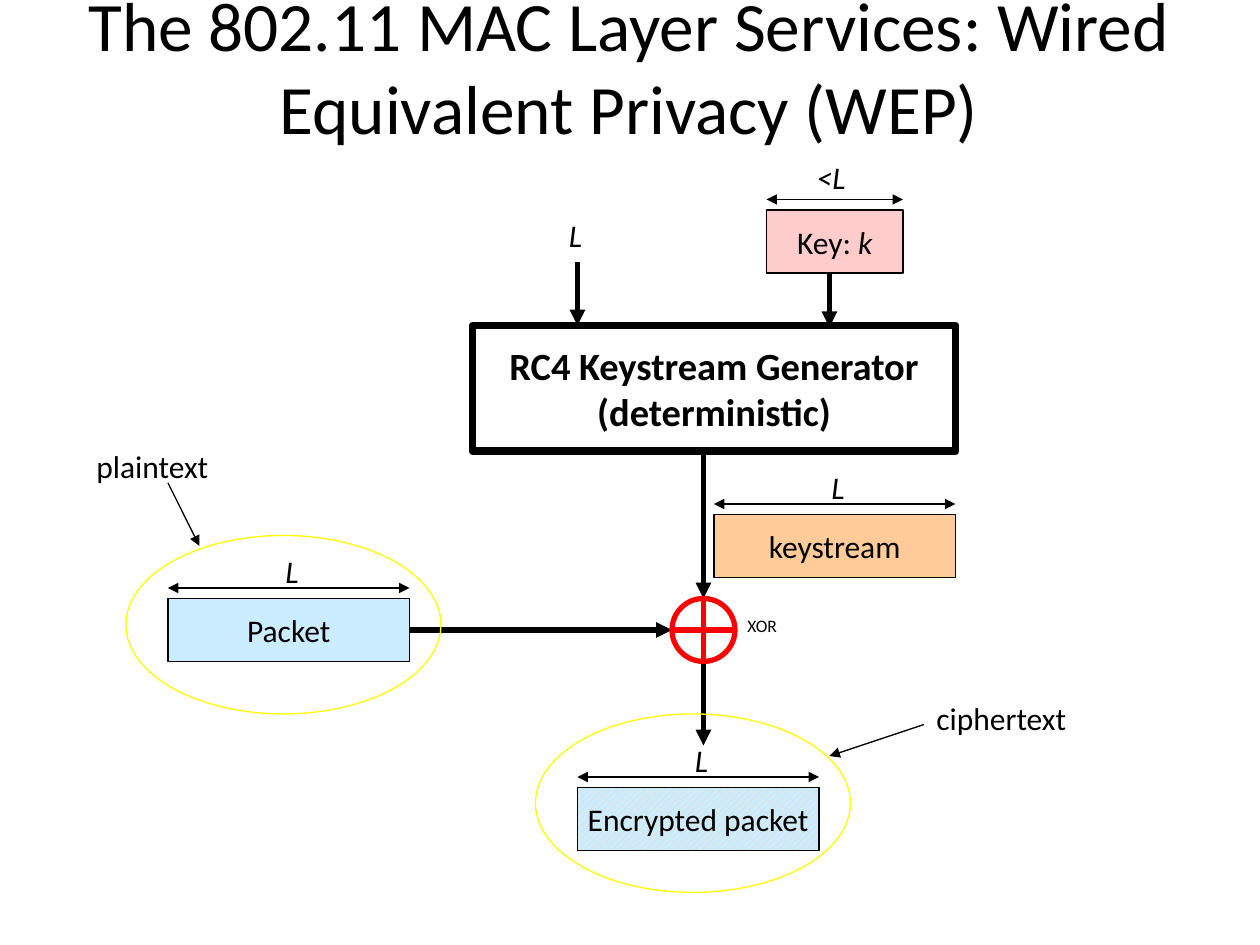
from dataclasses import dataclass
from typing import Optional

from lxml.etree import SubElement
from pptx import Presentation
from pptx.dml.color import RGBColor
from pptx.enum.dml import MSO_PATTERN
from pptx.enum.shapes import MSO_CONNECTOR, MSO_SHAPE
from pptx.enum.text import MSO_ANCHOR, MSO_AUTO_SIZE, PP_ALIGN
from pptx.oxml.ns import qn
from pptx.util import Pt

BLACK, RED, YELLOW = "000000", "FF0000", "FFFF00"
PINK, ORANGE, BLUE = "FFCCCC", "FFCC99", "CCECFF"
BODY = {"name": "Calibri", "size": Pt(18), "bold": False, "italic": False}
ITALIC = {**BODY, "italic": True}
HEADING = {**BODY, "size": Pt(22), "bold": True}
SMALL = {**BODY, "size": Pt(10)}
TITLE = {**BODY, "size": Pt(39.6)}
BAR_H = 36


@dataclass
class Run:
    text: str
    fmt: dict


@dataclass
class Bar:
    runs: list[Run]
    x: float
    y: float
    w: float
    fill: str
    size: str = "L"
    size_dx: float = 60
    size_dy: float = -30
    size_w: float = 30
    hatch: Optional[str] = None


@dataclass
class Arrow:
    x1: float
    y1: float
    x2: float
    y2: float
    width: float = 3
    both: bool = False


@dataclass
class Callout:
    x: float
    y: float
    text: str
    text_x: float
    text_y: float
    arrow: Arrow


def rgb(value: str) -> RGBColor:
    return RGBColor.from_string(value)


def write(p, runs: list[Run]) -> None:
    for run in runs:
        r = p.add_run()
        r.text = run.text
        for name, value in run.fmt.items():
            setattr(r.font, name, value)
        r.font.color.rgb = rgb(BLACK)


def add_shape(s, kind, x: float, y: float, w: float, h: float, line: str, width: float):
    sp = s.shapes.add_shape(kind, Pt(x), Pt(y), Pt(w), Pt(h))
    sp.shadow.inherit = False
    sp.fill.background()
    sp.line.color.rgb = rgb(line)
    sp.line.width = Pt(width)
    return sp


def add_box(s, x: float, y: float, w: float, h: float, width: float, lines: list[list[Run]]):
    sp = add_shape(s, MSO_SHAPE.RECTANGLE, x, y, w, h, BLACK, width)
    tf = sp.text_frame
    tf.word_wrap = False
    tf.vertical_anchor = MSO_ANCHOR.MIDDLE
    for i, runs in enumerate(lines):
        p = tf.add_paragraph() if i else tf.paragraphs[0]
        p.alignment = PP_ALIGN.CENTER
        write(p, runs)
    return sp


def add_label(s, x: float, y: float, w: float, h: float, run: Run) -> None:
    tf = s.shapes.add_textbox(Pt(x), Pt(y), Pt(w), Pt(h)).text_frame
    tf.word_wrap = True
    tf.auto_size = MSO_AUTO_SIZE.SHAPE_TO_FIT_TEXT
    write(tf.paragraphs[0], [run])


def add_arrow(s, a: Arrow) -> None:
    cx = s.shapes.add_connector(MSO_CONNECTOR.STRAIGHT, Pt(a.x1), Pt(a.y1), Pt(a.x2), Pt(a.y2))
    cx.line.color.rgb = rgb(BLACK)
    cx.line.width = Pt(a.width)
    ln = cx.line._get_or_add_ln()
    for end in ("a:headEnd", "a:tailEnd") if a.both else ("a:tailEnd",):
        SubElement(ln, qn(end), type="triangle")
    SubElement(cx._element.spPr, qn("a:effectLst"))


def add_bar(s, b: Bar) -> None:
    sp = add_box(s, b.x, b.y, b.w, BAR_H, 0.75, [b.runs])
    if b.hatch:
        sp.fill.patterned()
        sp.fill.pattern = MSO_PATTERN.WIDE_UPWARD_DIAGONAL
        sp.fill.fore_color.rgb = rgb(b.hatch)
        sp.fill.back_color.rgb = rgb(b.fill)
    else:
        sp.fill.solid()
        sp.fill.fore_color.rgb = rgb(b.fill)
    add_arrow(s, Arrow(b.x, b.y - 6, b.x + b.w, b.y - 6, 0.75, True))
    add_label(s, b.x + b.size_dx, b.y + b.size_dy, b.size_w, 28.8, Run(b.size, ITALIC))


def add_callout(s, c: Callout) -> None:
    add_shape(s, MSO_SHAPE.OVAL, c.x, c.y, 180, 102, YELLOW, 0.75)
    add_arrow(s, c.arrow)
    add_label(s, c.text_x, c.text_y, 114, 28.8, Run(c.text, BODY))


BARS = [
    Bar([Run("Packet", BODY)], 96, 342, 138, BLUE),
    Bar([Run("Key: ", BODY), Run("k", ITALIC)], 438, 120, 78, PINK, "<L", 21.6, -33, 96),
    Bar([Run("keystream", BODY)], 408, 294, 138, ORANGE),
    Bar([Run("Encrypted packet", BODY)], 330, 450, 138, BLUE, hatch=ORANGE),
]
FLOWS = [
    Arrow(330, 150, 330, 186),
    Arrow(474, 156, 474, 187),
    Arrow(402, 258, 402, 342),
    Arrow(234, 360, 384, 360),
    Arrow(402, 378, 402, 426),
]
CALLOUTS = [
    Callout(72, 306, "plaintext", 48, 252, Arrow(96, 276, 114, 312, 0.75)),
    Callout(306, 408, "ciphertext", 528, 396, Arrow(528, 414, 474, 432, 0.75)),
]


def main() -> None:
    prs = Presentation()
    prs.slide_width, prs.slide_height = Pt(720), Pt(540)
    s = prs.slides.add_slide(prs.slide_layouts[5])

    title = s.shapes.title
    geometry = {"left": Pt(-0.5), "top": Pt(13.5), "width": Pt(720), "height": Pt(48)}
    for name, value in geometry.items():
        setattr(title, name, value)
    tf = title.text_frame
    tf.word_wrap = True
    tf.auto_size = MSO_AUTO_SIZE.NONE
    tf.vertical_anchor = MSO_ANCHOR.MIDDLE
    p = tf.paragraphs[0]
    p.alignment = PP_ALIGN.CENTER
    write(p, [Run("The 802.11 MAC Layer Services: Wired Equivalent Privacy (WEP)", TITLE)])

    add_box(s, 270, 186, 276, 72, 4.5, [
        [Run("RC4 Keystream Generator", HEADING)],
        [Run("(deterministic)", HEADING)],
    ])
    add_label(s, 318, 120, 30, 28.8, Run("L", ITALIC))
    for flow in FLOWS:
        add_arrow(s, flow)
    add_shape(s, MSO_SHAPE.FLOWCHART_OR, 384, 342, 36, 36, RED, 3)
    for bar in BARS:
        add_bar(s, bar)
    for callout in CALLOUTS:
        add_callout(s, callout)
    add_label(s, 420, 348, 42, 19.4, Run("XOR", SMALL))

    prs.save("out.pptx")


if __name__ == "__main__":
    main()
